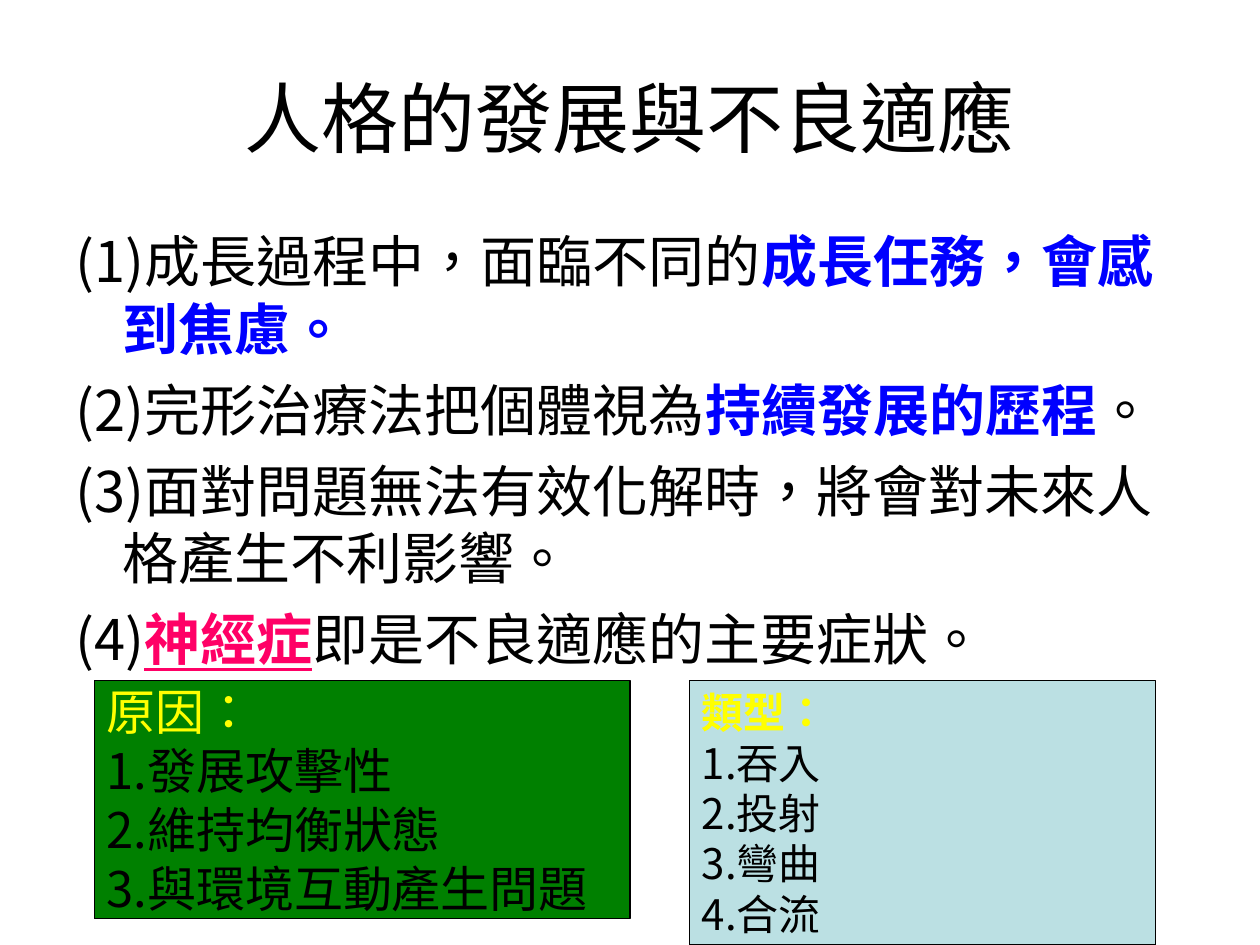
import pptx
import pptx.dml.color
import pptx.enum.lang
import pptx.enum.shapes
import pptx.enum.text
import pptx.util
from lxml import etree
from pptx.util import Cm, Pt

RGB = pptx.dml.color.RGBColor
BLACK = RGB(0, 0, 0)
BLUE = RGB(0, 0, 255)
PINK = RGB(255, 0, 102)
YELLOW = RGB(255, 255, 0)
GREEN = RGB(0, 128, 0)
PALE_BLUE = RGB(187, 224, 227)
CJK_FONT = "Noto Sans CJK SC"
ANCHOR = pptx.enum.text.MSO_ANCHOR

# Each point is a list of (text, colour, underlined); coloured text is bold
POINTS = [
    [("(1)成長過程中，面臨不同的", BLACK, False),
     ("成長任務，會感到焦慮。", BLUE, False)],
    [("(2)完形治療法把個體視為", BLACK, False),
     ("持續發展的歷程", BLUE, False), ("。", BLACK, False)],
    [("(3)面對問題無法有效化解時，將會對未來人格產生不利影響。", BLACK, False)],
    [("(4)", BLACK, False), ("神經症", PINK, True),
     ("即是不良適應的主要症狀。", BLACK, False)],
]
CAUSES = ["原因：", "1.發展攻擊性", "2.維持均衡狀態", "3.與環境互動產生問題"]
TYPES = ["類型：", "1.吞入", "2.投射", "3.彎曲", "4.合流"]


def set_font(p, name, size):
    p.font.name = name
    p.font.size = Pt(size)
    ea = etree.SubElement(p.font._element, pptx.oxml.ns.qn("a:ea"))
    ea.set("typeface", CJK_FONT)


def add_run(p, text, color, bold=False, underline=False):
    r = p.add_run()
    r.text = text
    r.font.language_id = pptx.enum.lang.MSO_LANGUAGE_ID.TRADITIONAL_CHINESE
    r.font.color.rgb = color
    if bold:
        r.font.bold = True
    if underline:
        r.font.underline = True


def next_paragraph(tf, index):
    return tf.add_paragraph() if index else tf.paragraphs[0]


def add_text_frame(s, left, top, width, height, anchor):
    tf = s.shapes.add_textbox(Cm(left), Cm(top), Cm(width), Cm(height)).text_frame
    tf.word_wrap = True
    tf.vertical_anchor = anchor
    return tf


def add_title(s, text):
    tf = add_text_frame(s, 1.27, 0.76, 22.86, 3.18, ANCHOR.MIDDLE)
    p = tf.paragraphs[0]
    p.alignment = pptx.enum.text.PP_ALIGN.CENTER
    set_font(p, "Arial", 44)
    add_run(p, text, BLACK)


def add_points(s, points):
    tf = add_text_frame(s, 1.27, 4.45, 22.86, 12.57, ANCHOR.TOP)
    for i, parts in enumerate(points):
        p = next_paragraph(tf, i)
        if i:
            p.space_before = Pt(8)
        # Hanging indent
        pPr = p._p.get_or_add_pPr()
        pPr.set("marL", str(Cm(0.95)))
        pPr.set("indent", str(-Cm(0.95)))
        set_font(p, CJK_FONT, 32)
        for text, color, underline in parts:
            add_run(p, text, color, color != BLACK, underline)


def add_box(s, left, width, height, fill, lines, size, bold_heading):
    sp = s.shapes.add_shape(pptx.enum.shapes.MSO_SHAPE.RECTANGLE,
                            Cm(left), Cm(13.72), Cm(width), Cm(height))
    sp.shadow.inherit = False
    sp.fill.solid()
    sp.fill.fore_color.rgb = fill
    sp.line.color.rgb = BLACK
    sp.line.width = Pt(0.75)
    tf = sp.text_frame
    tf.word_wrap = True
    tf.vertical_anchor = ANCHOR.MIDDLE
    for i, text in enumerate(lines):
        p = next_paragraph(tf, i)
        p.alignment = pptx.enum.text.PP_ALIGN.LEFT
        set_font(p, CJK_FONT, size)
        add_run(p, text, BLACK if i else YELLOW, bold_heading and i == 0)


def main():
    prs = pptx.Presentation()
    prs.slide_width, prs.slide_height = Cm(25.4), Cm(19.05)
    s = prs.slides.add_slide(prs.slide_layouts[6])

    # Title and numbered points
    add_title(s, "人格的發展與不良適應")
    add_points(s, POINTS)

    # Causes and types of neurosis
    add_box(s, 1.9, 10.8, 4.8, GREEN, CAUSES, 28, False)
    add_box(s, 13.9, 9.4, 5.33, PALE_BLUE, TYPES, 24, True)

    prs.save("out.pptx")


if __name__ == "__main__":
    main()
